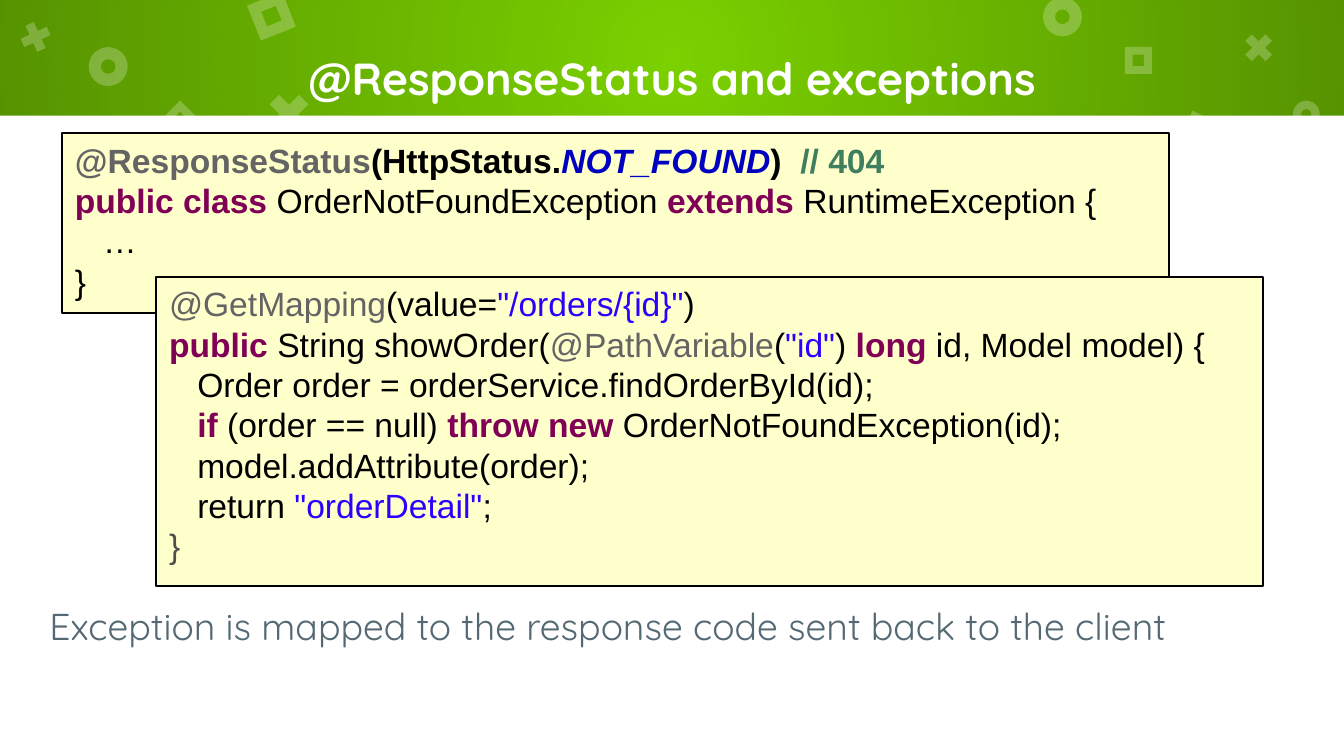
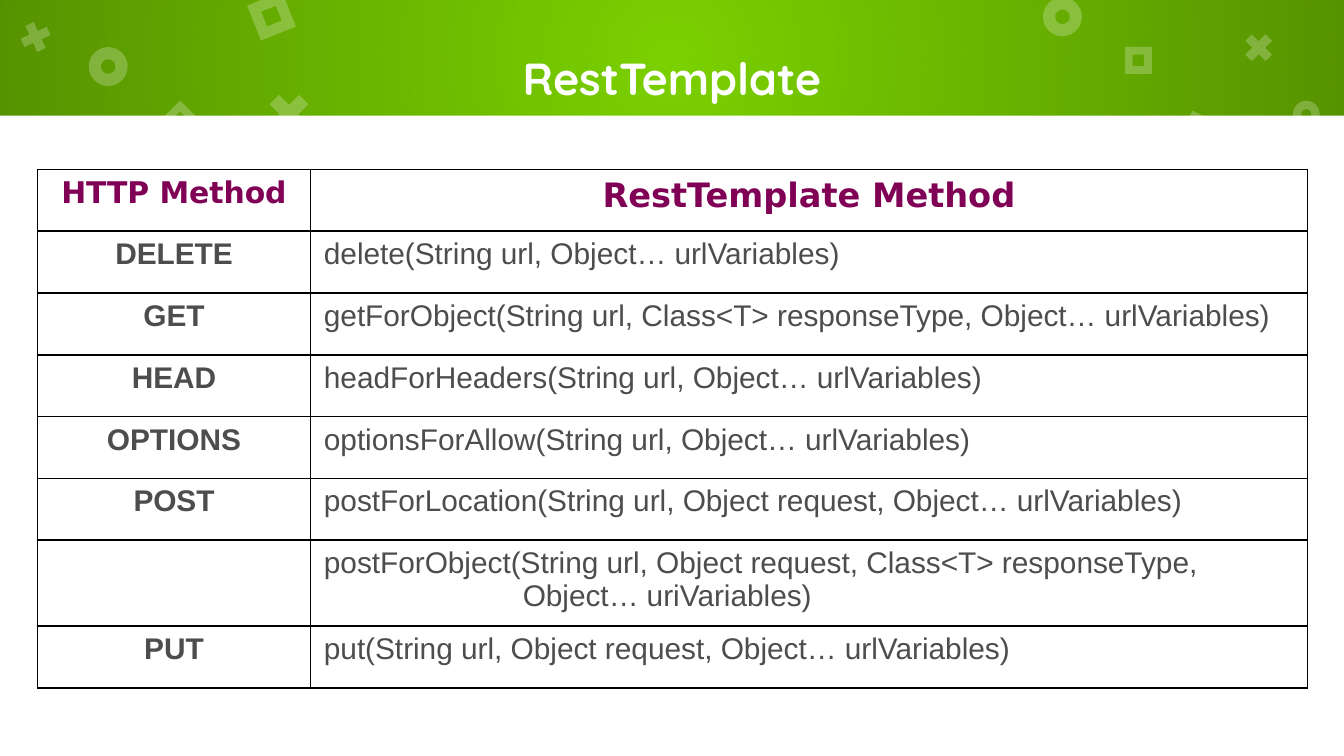
from copy import deepcopy

from pptx import Presentation
from pptx.dml.color import RGBColor
from pptx.enum.shapes import MSO_SHAPE
from pptx.enum.text import MSO_ANCHOR, PP_ALIGN
from pptx.oxml import parse_xml
from pptx.oxml.ns import nsdecls, qn
from pptx.util import Inches, Pt

RECT, DONUT = MSO_SHAPE.RECTANGLE, MSO_SHAPE.DONUT
CROSS, FRAME = MSO_SHAPE.MATH_MULTIPLY, MSO_SHAPE.FRAME
LEFT, CENTER = PP_ALIGN.LEFT, PP_ALIGN.CENTER
TOP, MIDDLE = MSO_ANCHOR.TOP, MSO_ANCHOR.MIDDLE

GREEN, WHITE, BLACK, CREAM = "7BD100", "FFFFFF", "000000", "FFFFCC"
PURPLE, GRAY, SLATE = "7F0055", "4D4D4D", "546973"

TITLE = {"name": "Quicksand", "size": Pt(24), "bold": True, "color": WHITE}
BODY = {"name": "Quicksand", "size": Pt(20), "color": SLATE}
CODE = {"name": "Arial", "size": Pt(18), "bold": False, "color": BLACK}
HEAD = {"name": "DejaVu Sans", "size": Pt(16), "bold": True, "color": PURPLE}
CELL = {"name": "Arial", "size": Pt(16), "bold": False, "color": GRAY}

KEYWORD = {"color": PURPLE, "bold": True}
ANNOTATION = {"color": "646464"}
STRING = {"color": "2A00FF"}
BOLD = {"bold": True}
PLAIN = {}

ORNAMENTS = [
    (DONUT, 0.66, 0.35, 0.29, 0), (CROSS, 1.94, 0.64, 0.42, 0),
    (FRAME, 1.88, -0.02, 0.28, 338.4), (DONUT, 7.76, -0.02, 0.29, 0),
    (CROSS, 7.73, 0.84, 0.42, 17.5), (FRAME, 8.8, 0.87, 0.28, 25),
    (DONUT, 0.3, 1, 0.2, 0), (CROSS, 0.12, 0.13, 0.29, 20.4),
    (FRAME, 1.24, 0.79, 0.2, 45), (DONUT, 9.62, 0.75, 0.2, 0),
    (CROSS, 9.22, 0.21, 0.29, 0), (FRAME, 8.37, 0.35, 0.2, 0),
]
ADJUST = {DONUT: 0.31, CROSS: 0.235, FRAME: 0.289}

EXCEPTION_CODE = [
    (0, [("@ResponseStatus", {**ANNOTATION, **BOLD}), ("(HttpStatus.", BOLD),
         ("NOT_FOUND", {"color": "0000C0", "bold": True, "italic": True}),
         (")  ", BOLD), ("// 404", {"color": "3F7F5F", "bold": True})]),
    (0, [("public class ", KEYWORD), ("OrderNotFoundException ", PLAIN),
         ("extends", KEYWORD), (" RuntimeException {", PLAIN)]),
    (0.21, [("…", PLAIN)]),
    (0, [("}", PLAIN)]),
]
HANDLER_CODE = [
    (0, [("@GetMapping", ANNOTATION), ("(value=", PLAIN),
         ('"/orders/{id}"', STRING), (")", PLAIN)]),
    (0, [("public", KEYWORD), (" String showOrder(", PLAIN),
         ("@PathVariable", ANNOTATION), ("(", PLAIN), ('"id"', STRING),
         (") ", PLAIN), ("long", KEYWORD), (" id, Model model) {", PLAIN)]),
    (0.21, [("Order order = orderService.findOrderById(id);", PLAIN)]),
    (0.21, [("if", KEYWORD), (" (order == null) ", PLAIN),
            ("throw new", KEYWORD), (" OrderNotFoundException(id);", PLAIN)]),
    (0.21, [("model.addAttribute(order);", PLAIN)]),
    (0.21, [("return ", PLAIN), ('"orderDetail"', STRING), (";", PLAIN)]),
    (0, [("}", {"color": GRAY})]),
]
METHODS = [
    ("HTTP Method", "RestTemplate Method"),
    ("DELETE", "delete(String url, Object… urlVariables)"),
    ("GET", "getForObject(String url, Class<T> responseType, Object… urlVariables)"),
    ("HEAD", "headForHeaders(String url, Object… urlVariables)"),
    ("OPTIONS", "optionsForAllow(String url, Object… urlVariables)"),
    ("POST", "postForLocation(String url, Object request, Object… urlVariables)"),
    ("", "postForObject(String url, Object request, Class<T> responseType, \n"
         "Object… uriVariables)"),
    ("PUT", "put(String url, Object request, Object… urlVariables)"),
]


def rgb(value):
    return RGBColor.from_string(value)


def put_text(tf, lines, base, **para):
    tf.word_wrap = True
    for i, (indent, runs) in enumerate(lines):
        p = tf.paragraphs[0] if i == 0 else tf.add_paragraph()
        for key, value in para.items():
            setattr(p, key, value)
        if indent:
            p._p.get_or_add_pPr().set("marL", str(Inches(abs(indent))))
        if indent < 0:
            p._p.get_or_add_pPr().set("indent", str(Inches(indent)))
        for text, style in runs:
            for n, part in enumerate(text.split("\n")):
                if n:
                    p.add_line_break()
                    p._p[-1].append(deepcopy(r._r.rPr))
                r = p.add_run()
                r.text = part
                for key, value in {**base, **style}.items():
                    if key == "color":
                        r.font.color.rgb = rgb(value)
                    else:
                        setattr(r.font, key, value)


prs = Presentation()
prs.slide_width, prs.slide_height = Inches(10), Inches(10 * 9 / 16)

slides = []
for title in ("@ResponseStatus and exceptions", "RestTemplate"):
    slide = prs.slides.add_slide(prs.slide_layouts[6])
    slides.append(slide)
    slide.background.fill.solid()
    slide.background.fill.fore_color.rgb = rgb(GREEN)

    band = slide.shapes.add_shape(RECT, 0, 0, Inches(10), Inches(0.86))
    band.shadow.inherit = False
    band.line.fill.background()
    band.fill.background()
    spPr = band._element.spPr
    spPr.replace(spPr.find(qn("a:noFill")), parse_xml(
        f'<a:gradFill {nsdecls("a")} rotWithShape="1"><a:gsLst>'
        '<a:gs pos="0"><a:srgbClr val="000000"><a:alpha val="0"/></a:srgbClr></a:gs>'
        '<a:gs pos="100000"><a:srgbClr val="000000"><a:alpha val="30000"/></a:srgbClr></a:gs>'
        '</a:gsLst><a:path path="circle">'
        '<a:fillToRect l="50000" t="50000" r="50000" b="50000"/></a:path></a:gradFill>'))

    page = slide.shapes.add_shape(RECT, 0, Inches(0.86), Inches(10), prs.slide_height - Inches(0.86))
    page.shadow.inherit = False
    page.line.fill.background()
    page.fill.solid()
    page.fill.fore_color.rgb = rgb(WHITE)

    for kind, x, y, size, angle in ORNAMENTS:
        sp = slide.shapes.add_shape(kind, Inches(x), Inches(y), Inches(size), Inches(size))
        sp.shadow.inherit = False
        sp.rotation = angle
        sp.adjustments[0] = ADJUST[kind]
        sp.line.fill.background()
        sp.fill.solid()
        sp.fill.fore_color.rgb = rgb(WHITE)
        clr = sp._element.spPr.find(qn("a:solidFill"))[0]
        clr.append(parse_xml(f'<a:alpha {nsdecls("a")} val="24000"/>'))

    tf = slide.shapes.add_textbox(Inches(0.95), 0, Inches(8.1), Inches(1.16)).text_frame
    tf.margin_top = tf.margin_bottom = Inches(0.1)
    tf.vertical_anchor = MIDDLE
    put_text(tf, [(0, [(title, PLAIN)])], TITLE, alignment=CENTER)

status_slide, methods_slide = slides

for x, y, height, code in ((0.46, 0.99, 1.34, EXCEPTION_CODE), (1.16, 2.06, 2.3, HANDLER_CODE)):
    sp = status_slide.shapes.add_shape(RECT, Inches(x), Inches(y), Inches(8.24), Inches(height))
    sp.shadow.inherit = False
    sp.fill.solid()
    sp.fill.fore_color.rgb = rgb(CREAM)
    sp.line.color.rgb = rgb(BLACK)
    sp.line.width = Pt(1)
    sp.text_frame.vertical_anchor = TOP
    put_text(sp.text_frame, code, CODE, alignment=LEFT)

tf = status_slide.shapes.add_textbox(Inches(0.27), Inches(4.39), Inches(9), Inches(0.54)).text_frame
tf.margin_top = tf.margin_bottom = Inches(0.1)
note = "Exception is mapped to the response code sent back to the client"
put_text(tf, [(0, [(note, PLAIN)])], BODY, space_before=Pt(6))

table = methods_slide.shapes.add_table(
    len(METHODS), 2, Inches(0.28), Inches(1.26), Inches(9.44), Inches(3.84)).table
table.first_row = table.horz_banding = False
table.columns[0].width, table.columns[1].width = Inches(2.03), Inches(7.42)

for i, row in enumerate(METHODS):
    table.rows[i].height = Inches(0.64 if "\n" in row[1] else 0.46)
    for j, text in enumerate(row):
        cell = table.cell(i, j)
        cell.fill.background()
        cell.vertical_anchor = TOP
        if i == 0:
            base = {**HEAD, "size": Pt((16, 18)[j])}
        else:
            base = {**CELL, "bold": j == 0}
        if text:
            put_text(cell.text_frame, [(-1.48 if "\n" in text else 0, [(text, PLAIN)])], base,
                     alignment=CENTER if i == 0 or j == 0 else LEFT,
                     space_before=Pt(2.8 if i == j == 0 else 0))
        tcPr = cell._tc.get_or_add_tcPr()
        for n, side in enumerate(("lnL", "lnR", "lnT", "lnB")):
            tcPr.insert(n, parse_xml(
                f'<a:{side} {nsdecls("a")} w="12700"><a:solidFill>'
                f'<a:srgbClr val="{BLACK}"/></a:solidFill></a:{side}>'))

prs.save("out.pptx")
